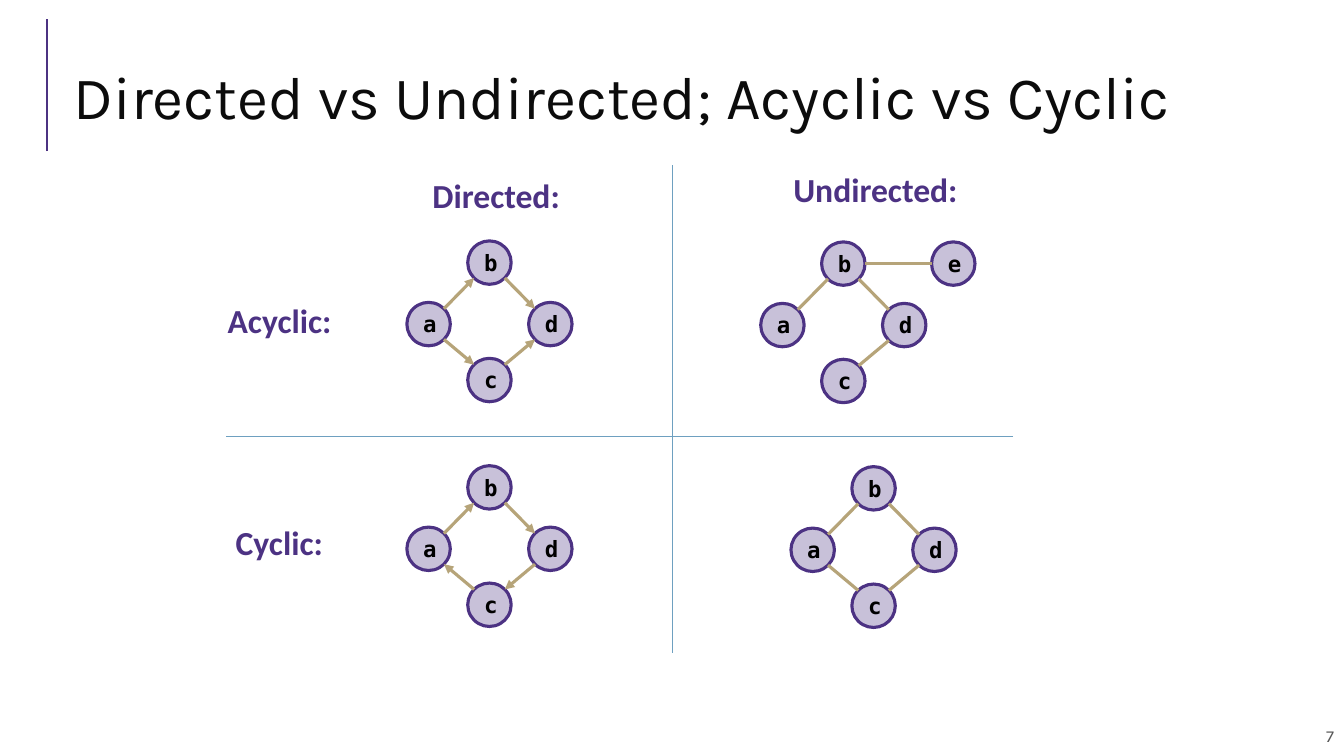
from dataclasses import dataclass
from math import copysign, hypot

from pptx import Presentation
from pptx.dml.color import RGBColor
from pptx.enum.shapes import MSO_CONNECTOR as Conn, MSO_SHAPE as Shape
from pptx.enum.text import MSO_ANCHOR as Anchor, PP_ALIGN as Align
from pptx.oxml.ns import qn
from pptx.util import Emu, Inches, Pt
from lxml.etree import SubElement

prs = Presentation()
prs.slide_width, prs.slide_height = Inches(13.33), Inches(7.5)
slide = prs.slides.add_slide(prs.slide_layouts[6])

PURPLE = "4C3283"
NODE_FILL = "4B3284"
GOLD = "B6A479"
DIVIDER = "6EA0C0"
NODE_DIAMETER = 3.23


def col(percent: float) -> Emu:
    return Emu(round(prs.slide_width * percent / 100))


def row(percent: float) -> Emu:
    return Emu(round(prs.slide_height * percent / 100))


def rgb(value: str) -> RGBColor:
    return RGBColor.from_string(value)


@dataclass(frozen=True)
class Label:
    text: str
    left: float
    top: float
    width: float
    height: float = 9.73
    size: float = 24
    font: str = "Calibri"
    color: str = PURPLE
    bold: bool = True
    align: Align = Align.LEFT
    anchor: Anchor = Anchor.TOP
    spacing: float = 1.0


@dataclass(frozen=True)
class Rule:
    x1: float
    y1: float
    x2: float
    y2: float
    color: str = DIVIDER
    width: float = 0.75


@dataclass(frozen=True)
class Graph:
    x: float
    y: float
    nodes: str
    edges: str
    directed: bool


OFFSETS = {
    "a": (-4.53, 0),
    "b": (0, -8.13),
    "d": (4.53, 0),
    "c": (0, 7.4),
    "e": (8.18, -8.13),
}

LABELS = [
    Label("Directed vs Undirected; Acyclic vs Cyclic", 4.73, 3.87, 91.75, 14.8,
          size=43, font="Karla", color="0C0C0C", bold=False,
          anchor=Anchor.BOTTOM, spacing=0.8),
    Label("7", 64.89, 94.67, 35.11, 5.33, size=12, font="Karla",
          color="595959", bold=False, align=Align.RIGHT, anchor=Anchor.MIDDLE),
    Label("Acyclic:", 16.2, 38.4, 9.98),
    Label("Cyclic:", 16.8, 67.73, 9.98),
    Label("Directed:", 31.43, 21.87, 11.55),
    Label("Undirected:", 58.29, 21.07, 17.1),
]

RULES = [
    Rule(3.53, 20, 3.53, 2.53, "4C3282", 1.5),
    Rule(50.04, 21.87, 50.04, 86.4),
    Rule(75.39, 57.73, 16.8, 57.73),
]

GRAPHS = [
    Graph(36.42, 42.87, "abdc", "ab ac bd cd", True),
    Graph(62.75, 43, "abdce", "ab bd cd be", False),
    Graph(36.42, 72.6, "abdc", "ab ca bd dc", True),
    Graph(65, 72.73, "abdc", "ab ac bd cd", False),
]


def write(sp, text: str, *, size: float, font: str, color: str, bold: bool,
          align: Align = Align.LEFT, anchor: Anchor = Anchor.MIDDLE,
          spacing: float = 1.0) -> None:
    tf = sp.text_frame
    tf.word_wrap = True
    tf.vertical_anchor = anchor
    tf.margin_left = tf.margin_right = Inches(0.1)
    tf.margin_top = tf.margin_bottom = Inches(0.1)
    p = tf.paragraphs[0]
    p.alignment = align
    p.line_spacing = spacing
    r = p.add_run()
    r.text = text
    r.font.size = Pt(size)
    r.font.name = font
    r.font.bold = bold
    r.font.color.rgb = rgb(color)


def add_line(x1: int, y1: int, x2: int, y2: int, color: str, width: float,
             arrow: bool = False) -> None:
    line = slide.shapes.add_connector(Conn.STRAIGHT, x1, y1, x2, y2)
    line.line.color.rgb = rgb(color)
    line.line.width = Pt(width)
    if arrow:
        SubElement(line.line._get_or_add_ln(), qn("a:tailEnd"), type="triangle")
    SubElement(line._element.spPr, qn("a:effectLst"))


def add_label(label: Label) -> None:
    sp = slide.shapes.add_textbox(col(label.left), row(label.top),
                                  col(label.width), row(label.height))
    write(sp, label.text, size=label.size, font=label.font, color=label.color,
          bold=label.bold, align=label.align, anchor=label.anchor,
          spacing=label.spacing)


def add_node(name: str, x: int, y: int) -> None:
    d = col(NODE_DIAMETER)
    sp = slide.shapes.add_shape(Shape.OVAL, x - d // 2, y - d // 2, d, d)
    sp.shadow.inherit = False
    sp.fill.solid()
    sp.fill.fore_color.rgb = rgb(NODE_FILL)
    clr = sp._element.spPr.find(qn("a:solidFill")).find(qn("a:srgbClr"))
    SubElement(clr, qn("a:alpha"), val="30000")
    sp.line.color.rgb = rgb(PURPLE)
    sp.line.width = Pt(2.25)
    write(sp, name, size=16, font="DejaVu Sans Mono", color="000000", bold=True)


def add_edge(start: tuple[int, int], end: tuple[int, int], arrow: bool) -> None:
    (x1, y1), (x2, y2) = start, end
    ux, uy = (copysign(1, v) if v else 0 for v in (x2 - x1, y2 - y1))
    reach = col(NODE_DIAMETER) / 2 / hypot(ux, uy)
    dx, dy = round(ux * reach), round(uy * reach)
    add_line(x1 + dx, y1 + dy, x2 - dx, y2 - dy, GOLD, 2.25, arrow)


def add_graph(graph: Graph) -> None:
    centers = {}
    for name in graph.nodes:
        dx, dy = OFFSETS[name]
        centers[name] = col(graph.x + dx), row(graph.y + dy)
        add_node(name, *centers[name])
    for start, end in graph.edges.split():
        add_edge(centers[start], centers[end], graph.directed)


def main() -> None:
    for graph in GRAPHS:
        add_graph(graph)
    for label in LABELS:
        add_label(label)
    for rule in RULES:
        add_line(col(rule.x1), row(rule.y1), col(rule.x2), row(rule.y2),
                 rule.color, rule.width)
    prs.save("out.pptx")


if __name__ == "__main__":
    main()
